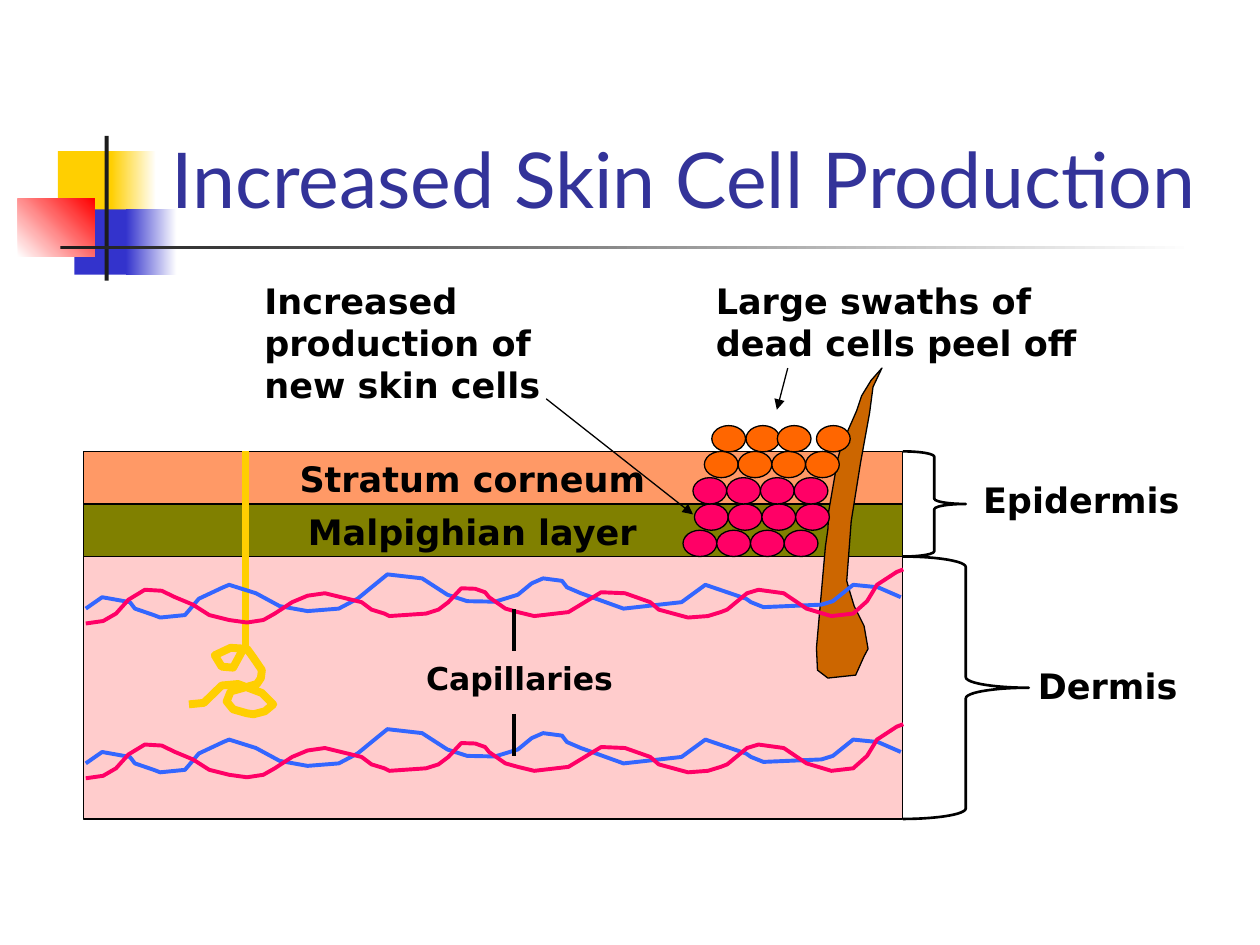
from dataclasses import dataclass

from lxml.etree import SubElement
from pptx import Presentation
from pptx.dml.color import RGBColor as Color
from pptx.enum.shapes import MSO_CONNECTOR as Connector, MSO_SHAPE as Shape
from pptx.enum.text import MSO_ANCHOR as Anchor, MSO_AUTO_SIZE as AutoSize, PP_ALIGN as Align
from pptx.oxml.ns import qn
from pptx.util import Cm, Pt


@dataclass(frozen=True)
class Theme:
    title_font: str = "Lato"
    label_font: str = "DejaVu Sans"
    title_size: int = 44
    label_size: int = 20
    small_size: int = 18
    thin: float = 0.75
    brace: float = 1.5
    vessel: float = 2.25
    gland: float = 4.5
    title: str = "333399"
    black: str = "000000"
    white: str = "FFFFFF"
    yellow: str = "FFCF01"
    blue: str = "3333CC"
    red: str = "FF0000"
    charcoal: str = "1C1C1C"
    dermis: str = "FFCCCC"
    corneum: str = "FF9966"
    malpighian: str = "808000"
    hair: str = "CC6600"
    vein: str = "3366FF"
    artery: str = "FF0066"
    new_cell: str = "FF0066"
    dead_cell: str = "FF6600"


theme = Theme()


def paint(shape, fill=None, line=None, width=theme.thin):
    shape.shadow.inherit = False
    if fill:
        shape.fill.solid()
        shape.fill.fore_color.rgb = Color.from_string(fill)
    else:
        shape.fill.background()
    if line:
        shape.line.color.rgb = Color.from_string(line)
        shape.line.width = Pt(width)
    else:
        shape.line.fill.background()


def draw_line(start, end, color, width, arrow=False):
    ends = [Cm(value) for value in (*start, *end)]
    line = page.shapes.add_connector(Connector.STRAIGHT, *ends)
    line.line.color.rgb = Color.from_string(color)
    line.line.width = Pt(width)
    if arrow:
        SubElement(line.line._get_or_add_ln(), qn("a:tailEnd"), type="triangle")
    SubElement(line._element.spPr, qn("a:effectLst"))


deck = Presentation()
deck.slide_width, deck.slide_height = Cm(25.4), Cm(19.05)
page = deck.slides.add_slide(deck.slide_layouts[5])

ornaments = [
    (1.17, 3.05, 1.22, 1.32, theme.yellow, None, 0),
    (2.24, 3.05, 0.91, 1.32, theme.yellow, theme.white, 0),
    (1.5, 4.22, 1.17, 1.32, theme.blue, None, 0),
    (2.54, 4.22, 1.02, 1.32, theme.blue, theme.white, 0),
    (0.36, 4.01, 1.55, 1.17, theme.white, theme.red, 45),
    (2.11, 2.74, 0.08, 2.92, theme.charcoal, None, 0),
    (1.22, 4.95, 22.86, 0.08, theme.charcoal, theme.white, 0),
]
for left, top, width, height, first, last, angle in ornaments:
    ornament = page.shapes.add_shape(Shape.RECTANGLE, Cm(left), Cm(top), Cm(width), Cm(height))
    paint(ornament, first)
    if last:
        ornament.fill.gradient()
        ornament.fill.gradient_angle = angle
        for stop, color in zip(ornament.fill.gradient_stops, (first, last)):
            stop.color.rgb = Color.from_string(color)

title = page.shapes.title
title.left, title.top, title.width, title.height = Cm(3.2), Cm(0.58), Cm(21.64), Cm(4.06)
title.text_frame.auto_size = AutoSize.NONE
title.text_frame.vertical_anchor = Anchor.BOTTOM
para = title.text_frame.paragraphs[0]
para.alignment = Align.LEFT
span = para.add_run()
span.text = "Increased Skin Cell Production"
span.font.name = theme.title_font
span.font.size = Pt(theme.title_size)
span.font.color.rgb = Color.from_string(theme.title)

skin_left, skin_width = 1.69, 16.51
layers = [(11.22, 5.29, theme.dermis), (9.1, 1.06, theme.corneum), (10.16, 1.06, theme.malpighian)]
for top, height, color in layers:
    layer = page.shapes.add_shape(
        Shape.RECTANGLE, Cm(skin_left), Cm(top), Cm(skin_width), Cm(height))
    paint(layer, color, theme.black)

for top, width, height in [(9.1, 1.27, 2.12), (11.22, 2.54, 5.29)]:
    brace = page.shapes.add_shape(
        Shape.RIGHT_BRACE, Cm(skin_left + skin_width), Cm(top), Cm(width), Cm(height))
    paint(brace, None, theme.black, theme.brace)

labels = [
    ("Dermis", 20.53, 13.28, 3.6, 1.11, theme.label_size, Align.CENTER),
    ("Epidermis", 19.47, 9.53, 4.66, 1.11, theme.label_size, Align.CENTER),
    ("Stratum corneum", 5.29, 9.1, 8.47, 1.11, theme.label_size, Align.CENTER),
    ("Malpighian layer", 5.29, 10.16, 8.47, 1.11, theme.label_size, Align.CENTER),
    ("Capillaries", 8.04, 13.16, 4.87, 1.02, theme.small_size, Align.CENTER),
    ("Large swaths of dead cells peel off", 14.18, 5.5, 7.83, 1.96, theme.label_size, Align.LEFT),
    ("Increased production of new skin cells", 5.08, 5.5, 7.62, 2.79, theme.label_size, Align.LEFT),
]
for text, left, top, width, height, size, alignment in labels:
    box = page.shapes.add_textbox(Cm(left), Cm(top), Cm(width), Cm(height))
    box.text_frame.word_wrap = True
    box.text_frame.auto_size = AutoSize.SHAPE_TO_FIT_TEXT
    para = box.text_frame.paragraphs[0]
    para.alignment = alignment
    span = para.add_run()
    span.text = text
    span.font.name = theme.label_font
    span.font.size = Pt(size)
    span.font.bold = True
    span.font.color.rgb = Color.from_string(theme.black)

gland = [
    (4.88, 13.13), (4.7, 13.46), (4.47, 13.44), (4.33, 13.21), (4.65, 13.06), (4.98, 13.08),
    (5.11, 13.26), (5.28, 13.51), (5.26, 13.67), (5.18, 13.79), (4.65, 13.94), (4.57, 14.14),
    (4.7, 14.3), (4.98, 14.38), (5.11, 14.4), (5.34, 14.34), (5.51, 14.2), (5.28, 13.97),
    (4.8, 13.79), (4.47, 13.82), (4.11, 14.17), (3.81, 14.2),
]
hair = [
    (17.78, 7.42), (17.56, 7.67), (17.37, 7.98), (17.27, 8.28), (17.09, 8.69), (16.94, 9.07),
    (16.89, 9.25), (16.71, 10.29), (16.69, 10.67), (16.64, 11.02), (16.46, 13.06),
    (16.48, 13.51), (16.69, 13.67), (17.25, 13.61), (17.42, 13.23), (17.5, 13.08),
    (17.42, 12.62), (17.22, 12.22), (17.12, 11.89), (17.07, 11.71), (17.16, 10.51),
    (17.35, 9.32), (17.53, 8.33), (17.6, 7.8),
]
vein = [
    (1.73, 12.27), (2.06, 12.04), (2.62, 12.14), (2.72, 12.27), (3.1, 12.4), (3.23, 12.45),
    (3.73, 12.4), (4.01, 12.07), (4.5, 11.84), (4.62, 11.79), (5.16, 11.96), (5.64, 12.22),
    (6.2, 12.32), (6.83, 12.27), (7.21, 12.07), (7.49, 11.84), (7.81, 11.58), (8.51, 11.66),
    (9.02, 11.99), (9.42, 12.12), (9.98, 12.13), (10.44, 11.99), (10.72, 11.76),
    (10.95, 11.66), (11.33, 11.71), (11.43, 11.84), (11.71, 11.96), (12.57, 12.27),
    (13.74, 12.14), (14.22, 11.79), (15.04, 12.07), (15.14, 12.14), (15.39, 12.24),
    (16.56, 12.19), (16.79, 12.12), (17.2, 11.79), (17.7, 11.84), (18.16, 12.04),
]
artery = [
    (1.73, 12.57), (2.08, 12.52), (2.34, 12.37), (2.59, 12.09), (2.92, 11.89), (3.26, 11.91),
    (3.53, 12.04), (3.89, 12.19), (4.22, 12.4), (4.62, 12.5), (4.98, 12.55), (5.31, 12.5),
    (5.54, 12.37), (5.89, 12.14), (6.2, 12.01), (6.55, 11.96), (7.29, 12.14), (7.49, 12.29),
    (7.75, 12.37), (7.85, 12.42), (8.59, 12.37), (8.84, 12.29), (9.04, 12.14), (9.3, 11.86),
    (9.58, 11.87), (9.78, 11.94), (9.86, 12.04), (10.19, 12.27), (10.44, 12.34),
    (10.77, 12.42), (11.46, 12.34), (12.12, 11.94), (12.6, 11.96), (13.11, 12.14),
    (13.28, 12.29), (13.87, 12.45), (14.27, 12.42), (14.53, 12.34), (14.66, 12.29),
    (15.06, 11.96), (15.29, 11.89), (15.8, 11.96), (16.26, 12.27), (16.76, 12.42),
    (17.2, 12.37), (17.48, 12.12), (17.68, 11.79), (18.08, 11.53), (18.21, 11.48),
]
vessel_gap = 3.12
outlines = [
    (gland, 0, None, theme.yellow, theme.gland),
    (hair, 0, theme.hair, theme.black, theme.thin),
]
for drop in (vessel_gap, 0):
    outlines.append((vein, drop, None, theme.vein, theme.vessel))
    outlines.append((artery, drop, None, theme.artery, theme.vessel))

draw_line((4.95, 9.1), (4.95, 13.11), theme.yellow, theme.gland)
for points, drop, fill, color, width in outlines:
    spots = [(Cm(x), Cm(y + drop)) for x, y in points]
    builder = page.shapes.build_freeform(*spots[0])
    builder.add_line_segments(spots[1:], close=fill is not None)
    paint(builder.convert_to_shape(), fill, color, width)

for top, bottom in [(12.28, 13.12), (14.39, 15.24)]:
    draw_line((10.37, top), (10.37, bottom), theme.black, theme.vessel)

cell_width, cell_height = 0.68, 0.53
cell_rows = [
    (10.69, 13.77, theme.new_cell),
    (10.16, 14, theme.new_cell),
    (9.63, 13.97, theme.new_cell),
    (9.1, 14.2, theme.dead_cell),
]
cells = [(left + column * cell_width, top, color)
         for top, left, color in cell_rows for column in range(4)]
cells += [(left, 8.58, theme.dead_cell) for left in (14.35, 15.04, 15.67, 16.46)]
for left, top, color in cells:
    cell = page.shapes.add_shape(Shape.OVAL, Cm(left), Cm(top), Cm(cell_width), Cm(cell_height))
    paint(cell, color, theme.black)

draw_line((15.88, 7.42), (15.66, 8.26), theme.black, theme.thin, arrow=True)
draw_line((11.01, 8.04), (13.97, 10.37), theme.black, theme.thin, arrow=True)

deck.save("out.pptx")
